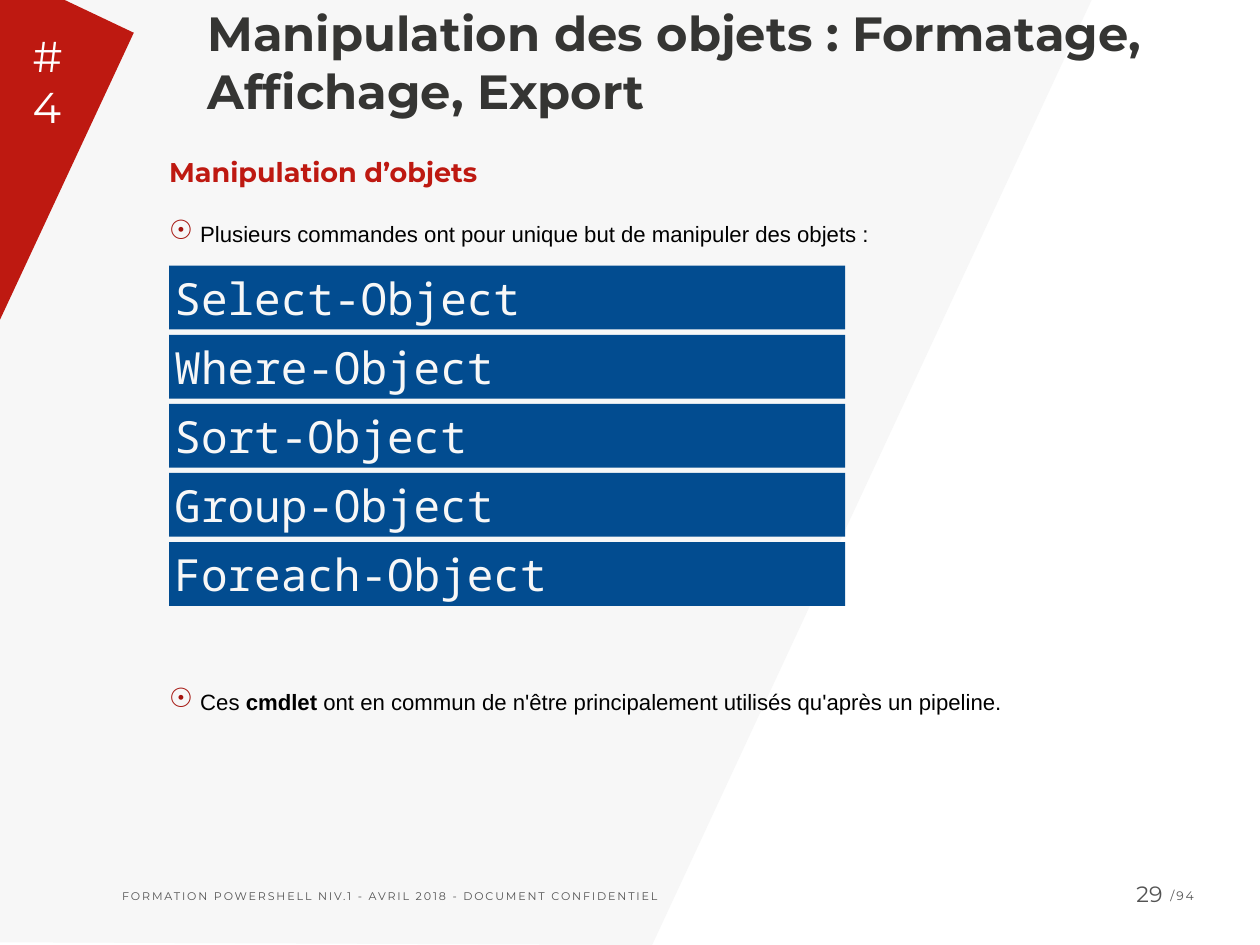
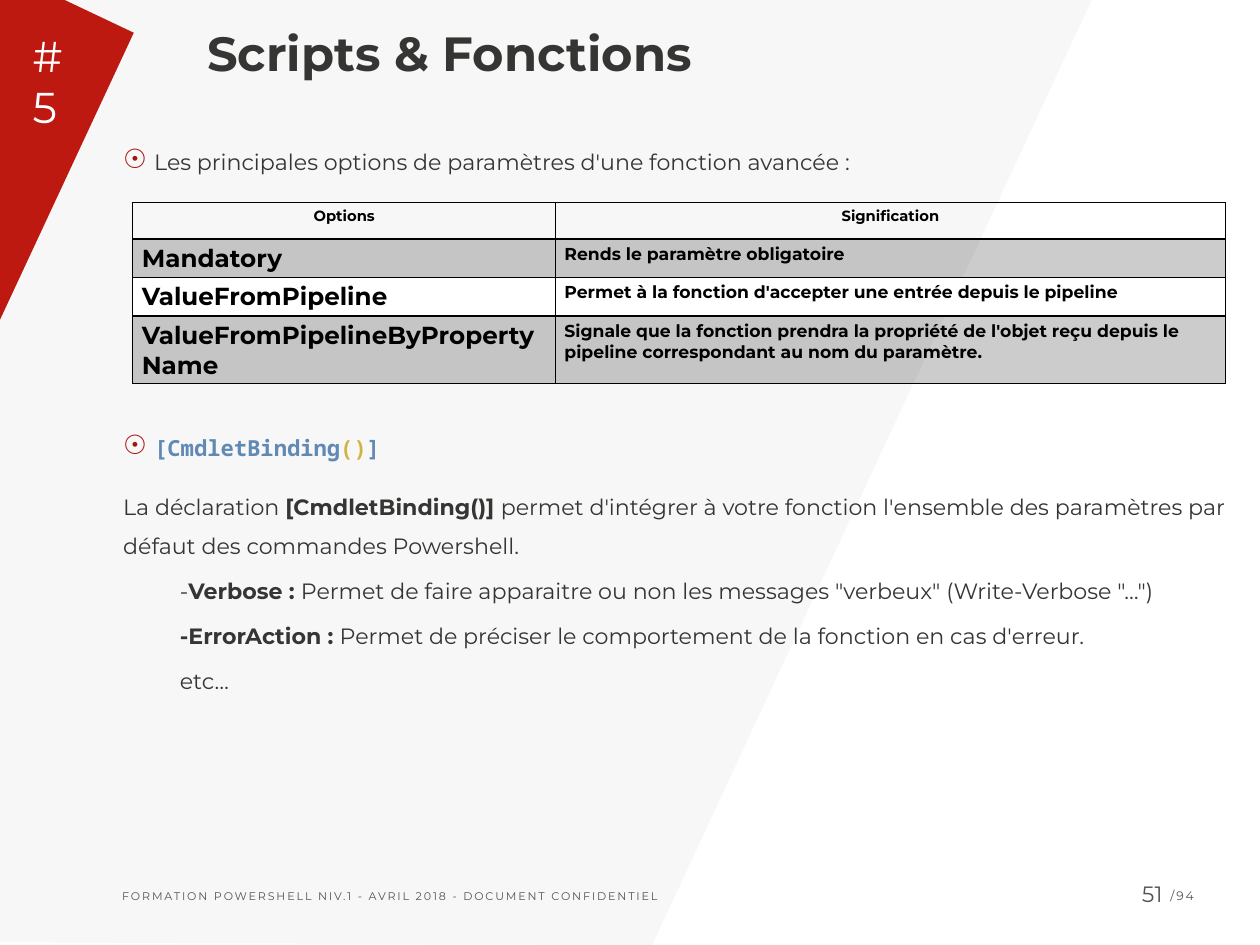
import pptx
import pptx.util
import pptx.dml.color
import pptx.enum.text
import pptx.oxml.ns
import lxml.etree

Inches, Pt = pptx.util.Inches, pptx.util.Pt
qn = pptx.oxml.ns.qn
ALIGN, ANCHOR = pptx.enum.text.PP_ALIGN, pptx.enum.text.MSO_ANCHOR

COLOURS = {
    "band": "F7F7F7", "red": "BE1911", "bullet": "A4140E", "title": "353533",
    "footer": "535353", "white": "FFFFFF", "black": "000000",
    "code_bar": "024C90", "code_blue": "6089B4", "code_gold": "D0B344",
}
MAIN, CODE = "Montserrat", "Noto Sans Mono"


def write(paragraph, runs, size, colour, font=MAIN, bold=False, spacing=0):
    """Fill a paragraph with (text, overrides) runs sharing one base style."""
    for text, override in runs:
        style = {"colour": colour, "font": font, "bold": bold, **override}
        run = paragraph.add_run()
        run.text = text
        run.font.size = Pt(size)
        run.font.name = style["font"]
        run.font.bold = style["bold"]
        run.font.color.rgb = pptx.dml.color.RGBColor.from_string(COLOURS[style["colour"]])
        if spacing:
            run.font._element.set("spc", str(spacing))


def text_frame(shape, inset=0.06, anchor=ANCHOR.TOP):
    """Give a shape wrapping text with equal insets and return its frame."""
    frame = shape.text_frame
    frame.word_wrap = True
    frame.vertical_anchor = anchor
    frame.margin_left = frame.margin_right = Inches(inset)
    frame.margin_top = frame.margin_bottom = Inches(inset)
    return frame


deck = pptx.Presentation()
deck.slide_width, deck.slide_height = Inches(14.22), Inches(10.67)

# Shared look: bands, chapter mark, title, footer, page number
BANDS = [
    ("band", [(0, 0), (12.32, 0), (7.36, 10.67), (0, 10.64)]),
    ("red", [(0, 0), (0.73, 0), (1.51, 0.37), (0, 3.61)]),
]
HEADINGS = [
    ("#4", "Manipulation des objets : Formatage, Affichage, Export", -0.23, "29"),
    ("#5", "Scripts & Fonctions", -0.65, "51"),
]
for chapter, title, title_top, page in HEADINGS:
    slide = deck.slides.add_slide(deck.slide_layouts[6])
    for colour, corners in BANDS:
        points = [(Inches(x), Inches(y)) for x, y in corners]
        outline = slide.shapes.build_freeform(*points[0])
        outline.add_line_segments(points[1:], close=True)
        band = outline.convert_to_shape()
        band.shadow.inherit = False
        band.fill.solid()
        band.fill.fore_color.rgb = pptx.dml.color.RGBColor.from_string(COLOURS[colour])
        band.line.fill.background()

    # text, box, size, colour, bold, letter spacing, alignment, anchor
    labels = [
        ("FORMATION POWERSHELL NIV.1 - AVRIL 2018 - DOCUMENT CONFIDENTIEL",
         (1.32, 9.98, 10.44, 0.26), 9, "footer", False, 150, ALIGN.LEFT, ANCHOR.TOP),
        ("/94", (13.15, 9.97, 0.79, 0.28), 10, "footer", False, 150, ALIGN.LEFT, ANCHOR.TOP),
        (page, (12.68, 9.88, 0.5, 0.37), 18, "footer", False, 0, ALIGN.RIGHT, ANCHOR.TOP),
        (title, (2.28, title_top, 11.95, 1.63), 39, "title", True, 0, ALIGN.LEFT, ANCHOR.BOTTOM),
        (chapter, (0.31, 0.27, 0.6, 0.7), 35, "white", False, 0, ALIGN.LEFT, ANCHOR.TOP),
    ]
    for text, box, size, colour, bold, spacing, align, anchor in labels:
        label = slide.shapes.add_textbox(*map(Inches, box))
        paragraph = text_frame(label, anchor=anchor).paragraphs[0]
        paragraph.alignment = align
        write(paragraph, [(text, {})], size, colour, bold=bold, spacing=spacing)

objects_slide, functions_slide = deck.slides

# Body text: kind, space before, runs
BOLD = {"bold": True}
objects_body = [
    ("heading", 0, [("Manipulation d’objets", {"colour": "red", "bold": True})]),
    ("bullet", 15, [("Plusieurs commandes ont pour unique but de manipuler des objets :", {})]),
    ("bullet", 348, [
        ("Ces ", {}), ("cmdlet", BOLD),
        (" ont en commun de n'être principalement utilisés qu'après un pipeline.", {})]),
]
blue = {"font": CODE, "colour": "code_blue", "bold": True}
functions_body = [
    ("bullet", 0, [("Les principales options de paramètres d'une fonction avancée :", {})]),
    ("bullet", 200, [
        ("[CmdletBinding", blue), ("()", {**blue, "colour": "code_gold"}), ("]", blue)]),
    ("plain", 15, [
        ("La déclaration ", {}), ("[CmdletBinding()] ", BOLD),
        ("permet d'intégrer à votre fonction l'ensemble des paramètres par défaut "
         "des commandes Powershell.", {})]),
    ("option", 15, [
        ("-", {}), ("Verbose : ", BOLD),
        ("Permet de faire apparaitre ou non les messages \"verbeux\" (Write-Verbose \"…\")", {})]),
    ("option", 15, [
        ("-ErrorAction : ", BOLD),
        ("Permet de préciser le comportement de la fonction en cas d'erreur.", {})]),
    ("option", 15, [("etc…", {})]),
]
BODIES = [
    (objects_slide, (1.91, 1.76, 11.39, 7.53), "Arial", "black", objects_body),
    (functions_slide, (1.39, 1.53, 12.54, 7.53), MAIN, "title", functions_body),
]
for slide, box, font, colour, content in BODIES:
    frame = text_frame(slide.shapes.add_textbox(*map(Inches, box)), inset=0)
    for index, (kind, space, runs) in enumerate(content):
        paragraph = frame.add_paragraph() if index else frame.paragraphs[0]
        properties = paragraph._p.get_or_add_pPr()
        if kind == "bullet":
            properties.set("marL", str(Inches(0.35)))
            properties.set("indent", str(Inches(-0.35)))
            bullet_colour = lxml.etree.SubElement(properties, qn("a:buClr"))
            lxml.etree.SubElement(bullet_colour, qn("a:srgbClr"), val=COLOURS["bullet"])
            lxml.etree.SubElement(properties, qn("a:buSzPct"), val="120000")
            lxml.etree.SubElement(properties, qn("a:buChar"), char="☉")
        if kind == "option":
            properties.set("marL", str(Inches(0.64)))
        if kind in ("bullet", "plain"):
            paragraph.line_spacing = 1.5
        if space:
            paragraph.space_before = Pt(space)
        if kind == "heading":
            write(paragraph, runs, 22, "red")
        else:
            write(paragraph, runs, 18, colour, font)

# Command bars
COMMANDS = ["Select-Object", "Where-Object", "Sort-Object", "Group-Object", "Foreach-Object"]
for index, command in enumerate(COMMANDS):
    bar = objects_slide.shapes.add_shape(
        pptx.enum.shapes.MSO_SHAPE.RECTANGLE,
        Inches(1.91), Inches(3 + 0.78 * index), Inches(7.63), Inches(0.72))
    bar.shadow.inherit = False
    bar.fill.solid()
    bar.fill.fore_color.rgb = pptx.dml.color.RGBColor.from_string(COLOURS["code_bar"])
    bar.line.fill.background()
    paragraph = text_frame(bar, anchor=ANCHOR.MIDDLE).paragraphs[0]
    paragraph.alignment = ALIGN.LEFT
    write(paragraph, [(command, {})], 36, "band", CODE)

# Table of parameter options
OPTIONS = [
    ("Options", "Signification"),
    ("Mandatory", "Rends le paramètre obligatoire"),
    ("ValueFromPipeline", "Permet à la fonction d'accepter une entrée depuis le pipeline"),
    ("ValueFromPipelineByPropertyName",
     "Signale que la fonction prendra la propriété de l'objet reçu depuis le pipeline "
     "correspondant au nom du paramètre."),
]
options = functions_slide.shapes.add_table(
    len(OPTIONS), 2, Inches(1.5), Inches(2.29), Inches(12.33), Inches(1.64)).table
options.first_row = options.horz_banding = False
for column, width in zip(options.columns, (4.77, 7.56)):
    column.width = Inches(width)
for row, texts in enumerate(OPTIONS):
    options.rows[row].height = Inches(0.41)
    for column, text in enumerate(texts):
        cell = options.cell(row, column)
        paragraph = cell.text_frame.paragraphs[0]
        paragraph.alignment = ALIGN.LEFT if row else ALIGN.CENTER
        size = (20, 14)[column] if row else 12
        write(paragraph, [(text, {})], size, "black", bold=True)

        # Borders, with a heavier rule under the header
        properties = cell._tc.get_or_add_tcPr()
        heavy = {0: "lnB", 1: "lnT"}.get(row)
        for side in ("lnL", "lnR", "lnT", "lnB"):
            border = lxml.etree.SubElement(
                properties, qn("a:" + side), w=str(Pt(2 if side == heavy else 1)))
            ink = lxml.etree.SubElement(border, qn("a:solidFill"))
            lxml.etree.SubElement(ink, qn("a:srgbClr"), val=COLOURS["black"])

        # Clear header, then translucent and white rows in turn
        if row == 0:
            cell.fill.background()
            continue
        shaded = row % 2 == 1
        cell.fill.solid()
        cell.fill.fore_color.rgb = pptx.dml.color.RGBColor.from_string(
            COLOURS["black" if shaded else "white"])
        if shaded:
            tint = properties.find(qn("a:solidFill")).find(qn("a:srgbClr"))
            lxml.etree.SubElement(tint, qn("a:alpha"), val="20000")

deck.save("out.pptx")
